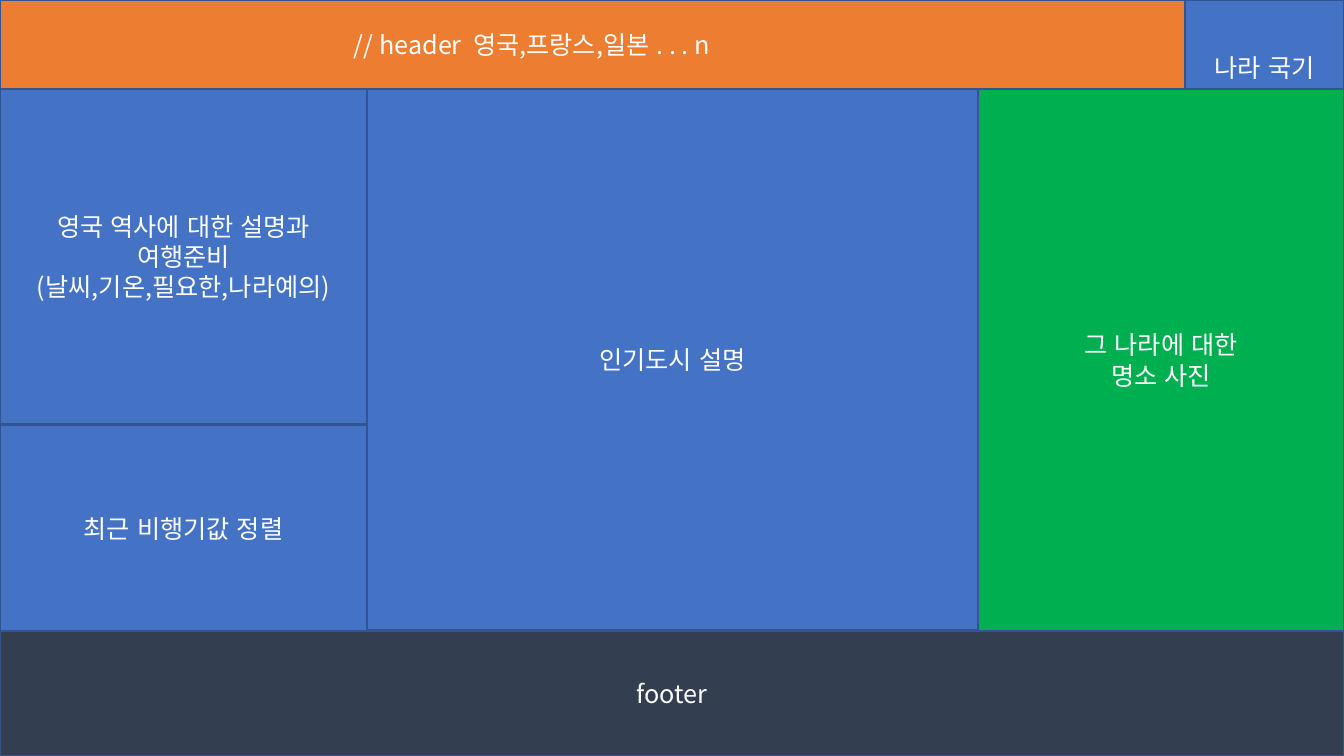
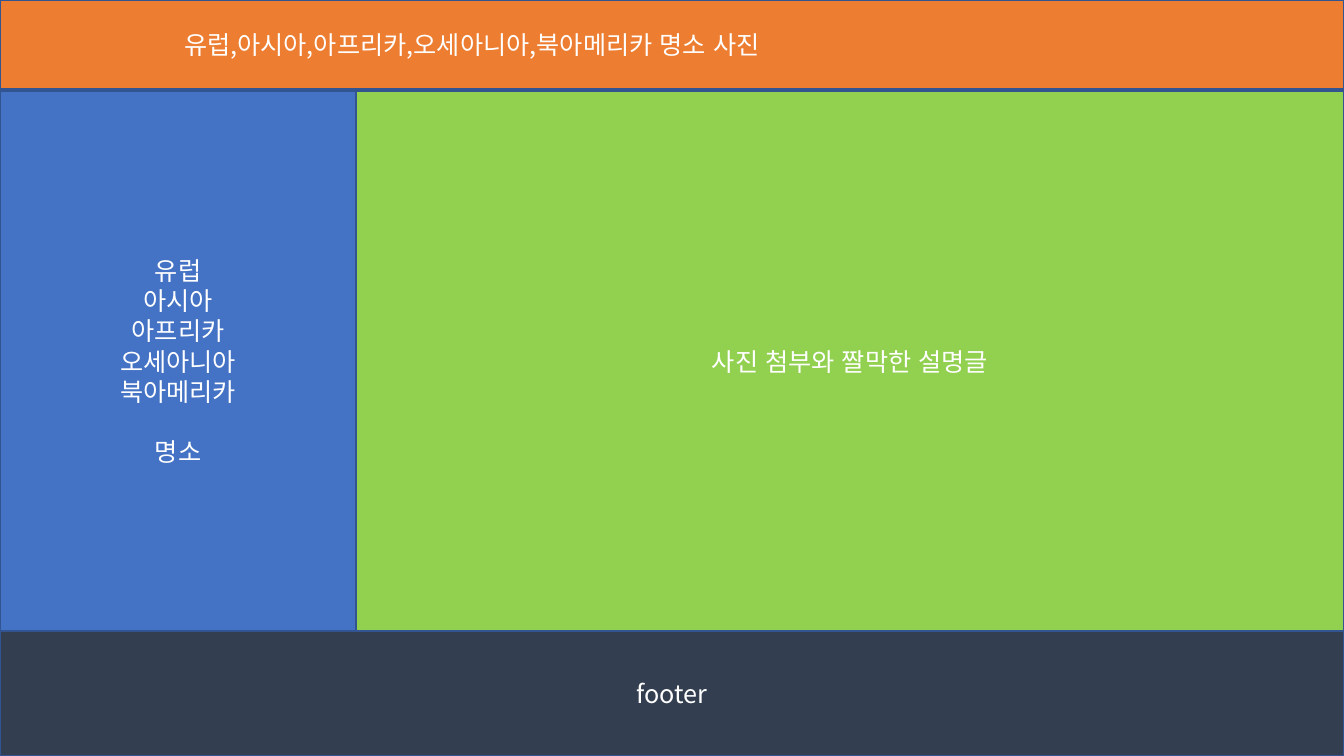
import pptx
import pptx.dml.color
import pptx.enum.lang
import pptx.enum.shapes
import pptx.enum.text
import pptx.oxml.ns
import pptx.util
from lxml import etree

# Shared measures, in pixels
EMU_PER_PIXEL = 914400 / 100.8
WIDTH, HEIGHT = 1344, 756
HEADER_HEIGHT = 89
FOOTER_TOP = 631

# Shared style
FONT = "Noto Sans CJK KR"
FONT_SIZE = 18
LINE_PITCH = 21.5
WHITE = "FFFFFF"
ORANGE = "ED7D31"
BLUE = "4472C4"
GREEN = "00B050"
LIME = "92D050"
SLATE = "333F50"
OUTLINE = "325491"


def pixels(value):
    return pptx.util.Emu(round(value * EMU_PER_PIXEL))


def color(value):
    return pptx.dml.color.RGBColor.from_string(value)


def write_text(shape, text, align="CENTER", indent=10, last_gap=0):
    """Write one paragraph per line; last_gap is the space above the last one."""
    frame = shape.text_frame
    frame.word_wrap = True
    frame.vertical_anchor = pptx.enum.text.MSO_ANCHOR.MIDDLE
    frame.margin_left = pixels(indent)
    frame.text = text
    for paragraph in frame.paragraphs:
        paragraph.alignment = getattr(pptx.enum.text.PP_ALIGN, align)
        paragraph.line_spacing = pptx.util.Pt(LINE_PITCH)
        for run in paragraph.runs:
            run.font.name = FONT
            run.font.size = pptx.util.Pt(FONT_SIZE)
            run.font.color.rgb = color(WHITE)
            run.font.language_id = pptx.enum.lang.MSO_LANGUAGE_ID.KOREAN
            # Korean glyphs take the East Asian font
            east_asian = etree.SubElement(run.font._element, pptx.oxml.ns.qn("a:ea"))
            east_asian.set("typeface", FONT)
    if last_gap:
        frame.paragraphs[-1].space_before = pptx.util.Pt(last_gap)


def add_panel(slide, left, top, right, bottom, fill, text, **text_format):
    shape = slide.shapes.add_shape(
        pptx.enum.shapes.MSO_SHAPE.RECTANGLE,
        pixels(left), pixels(top), pixels(right - left), pixels(bottom - top))
    shape.shadow.inherit = False
    shape.fill.solid()
    shape.fill.fore_color.rgb = color(fill)
    shape.line.color.rgb = color(OUTLINE)
    shape.line.width = pptx.util.Pt(1)
    write_text(shape, text, **text_format)


def add_header(slide, text, indent):
    add_panel(slide, 0, 0, WIDTH, HEADER_HEIGHT, ORANGE, text,
              align="LEFT", indent=indent)


def add_footer(slide):
    add_panel(slide, 0, FOOTER_TOP, WIDTH, HEIGHT, SLATE, "footer")


def build_country_page(slide):
    left_edge, right_edge = 367, 978
    add_header(slide, "// header  영국,프랑스,일본 . . . n", indent=354)
    # Flag, partly covered by the photo column
    add_panel(slide, 1185, 0, WIDTH, 134, BLUE, "나라 국기")
    add_panel(slide, 0, HEADER_HEIGHT, left_edge, 424, BLUE,
              "영국 역사에 대한 설명과\n여행준비\n(날씨,기온,필요한,나라예의)")
    add_footer(slide)
    add_panel(slide, right_edge, HEADER_HEIGHT, WIDTH, FOOTER_TOP, GREEN,
              "그 나라에 대한\n명소 사진")
    add_panel(slide, 0, 425, left_edge, FOOTER_TOP, BLUE, "최근 비행기값 정렬")
    add_panel(slide, left_edge, HEADER_HEIGHT, right_edge, FOOTER_TOP - 1, BLUE,
              "인기도시 설명")


def build_sights_page(slide):
    body_top, menu_edge = 91, 356
    continents = ["유럽", "아시아", "아프리카", "오세아니아", "북아메리카"]
    add_header(slide, ",".join(continents) + " 명소 사진", indent=184)
    # Menu, with one line of space above its last entry
    add_panel(slide, 0, body_top, menu_edge, FOOTER_TOP, BLUE,
              "\n".join(continents + ["명소"]), last_gap=LINE_PITCH)
    add_footer(slide)
    add_panel(slide, menu_edge, body_top, WIDTH, FOOTER_TOP, LIME,
              "사진 첨부와 짤막한 설명글")


def main():
    presentation = pptx.Presentation()
    presentation.slide_width = pixels(WIDTH)
    presentation.slide_height = pixels(HEIGHT)
    blank_layout = presentation.slide_layouts[6]
    for build_page in (build_country_page, build_sights_page):
        build_page(presentation.slides.add_slide(blank_layout))
    presentation.save("out.pptx")


main()
